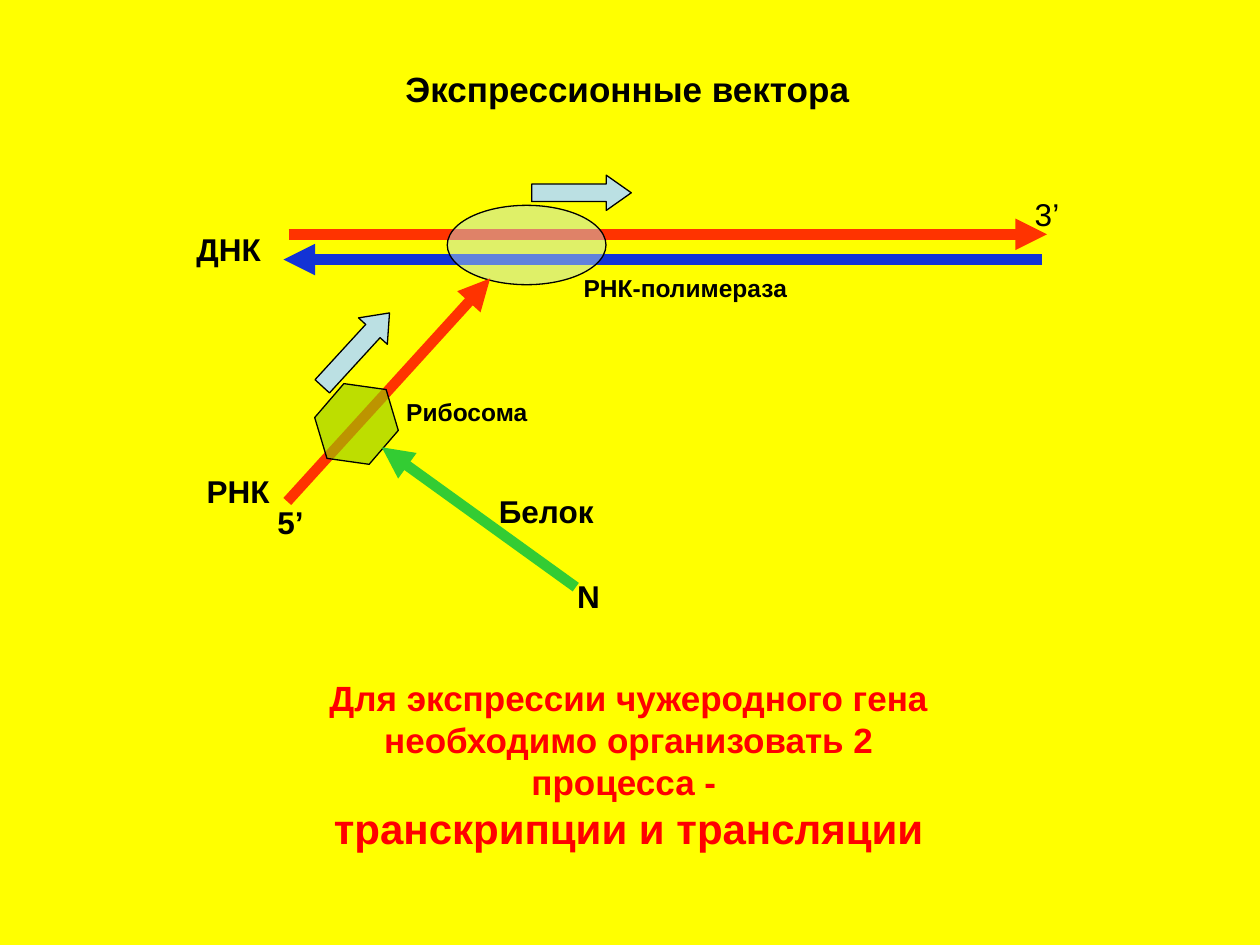
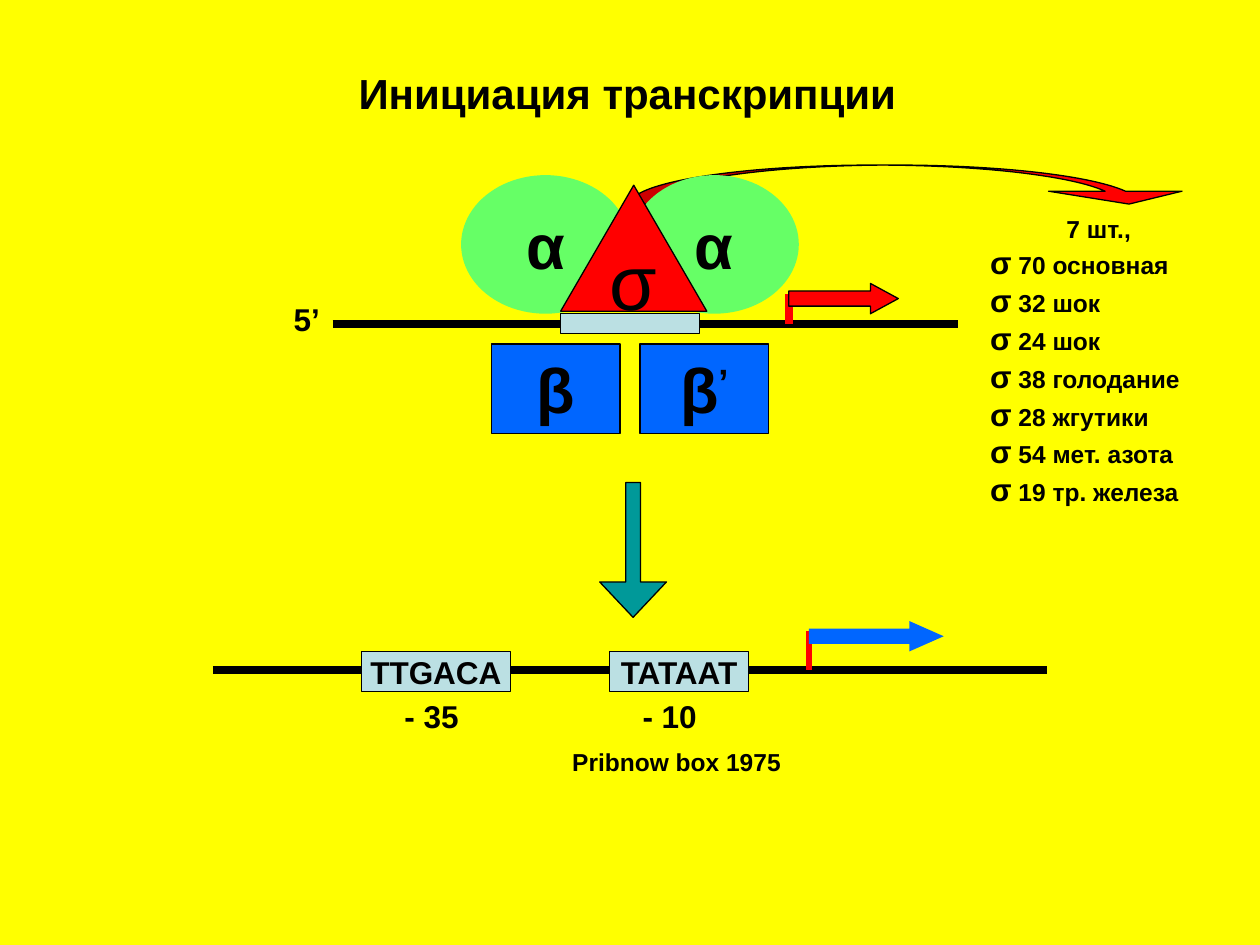
from lxml import etree
from pptx import Presentation, util as u
from pptx.dml.color import RGBColor
from pptx.enum import shapes, text
from pptx.oxml.ns import qn

THEME = {
    "font": "Arial",
    "background": "FFFF00",
    "black": "000000", "red": "FF0000", "rna": "FF3300", "dna": "1333D5",
    "protein": "33CC33", "pale": "BBE0E3", "ribosome": "99CC00",
    "alpha": "66FF66", "blue": "0066FF", "teal": "009999",
    "small": 14, "label": 18, "title": 20, "large": 24, "greek": 36, "sigma": 44,
    "outline": 0.75, "strand": 6, "axis": 4.5, "tick": 3,
}
SHAPE = shapes.MSO_SHAPE
TITLE_CENTRE, TITLE_TOP, TITLE_WIDTH = 4.98, 0.49, 5

# ---- Content: parts are listed from back to front ----
# line: start, end, colour, width, arrowhead
# shape: kind, box, fill, options
# label: text, box, size, options
EXPRESSION = {
    "title": ("Экспрессионные вектора", "title"),
    "parts": [
        ("line", (2.29, 1.86), (8.31, 1.86), "rna", "strand", True),
        ("line", (8.27, 2.06), (2.25, 2.06), "dna", "strand", True),
        ("shape", SHAPE.OVAL, (3.55, 1.63, 1.26, 0.63), "pale", {"opacity": 46}),
        ("label", "ДНК", (1.46, 1.78, 0.71, 0.4), "label"),
        ("label", "3’", (8.06, 1.5, 0.5, 0.4), "label", {"bold": False}),
        ("label", "РНК-полимераза", (4.53, 2.12, 1.82, 0.34), "small"),
        ("shape", SHAPE.RIGHT_ARROW, (4.22, 1.39, 0.79, 0.28), "pale",
         {"adjust": (0.5, 0.71)}),
        ("line", (2.28, 3.98), (3.89, 2.21), "rna", "strand", True),
        ("label", "РНК", (1.54, 3.7, 0.7, 0.4), "label"),
        ("label", "5’", (2.1, 3.94, 0.41, 0.4), "label"),
        ("shape", SHAPE.HEXAGON, (2.47, 3.08, 0.72, 0.57), "ribosome",
         {"opacity": 64, "rotation": 310.7, "adjust": (0.32,)}),
        ("label", "Рибосома", (3.12, 3.1, 1.17, 0.34), "small"),
        ("shape", SHAPE.RIGHT_ARROW, (2.43, 2.62, 0.79, 0.31), "pale",
         {"rotation": 312.5, "adjust": (0.5, 0.63)}),
        ("line", (4.57, 4.66), (3.03, 3.55), "protein", "strand", True),
        ("label", "N", (4.48, 4.53, 0.38, 0.4), "label"),
        ("label", "Белок", (3.86, 3.86, 0.95, 0.4), "label"),
    ],
}
CONCLUSION = [
    ("Для экспрессии чужеродного гена необходимо организовать 2 процесса - ", "title"),
    ("транскрипции и трансляции", "large"),
]

INITIATION = {
    "title": ("Инициация транскрипции", "large"),
    "parts": [
        ("shape", SHAPE.CURVED_DOWN_ARROW, (5, 1.31, 4.49, 0.31), "red",
         {"adjust": (0.52, 3.42, 0.33)}),
        # RNA polymerase subunits on the promoter
        ("shape", SHAPE.OVAL, (3.66, 1.39, 1.34, 1.1), "alpha",
         {"text": "α", "size": "greek", "outline": False}),
        ("shape", SHAPE.RECTANGLE, (3.9, 2.73, 1.02, 0.71), "blue",
         {"text": "β", "size": "greek"}),
        ("shape", SHAPE.OVAL, (5, 1.39, 1.34, 1.1), "alpha",
         {"text": "α", "size": "greek", "outline": False}),
        ("shape", SHAPE.ISOSCELES_TRIANGLE, (4.45, 1.47, 1.16, 1), "red",
         {"text": "σ", "size": "sigma", "bold": False}),
        ("shape", SHAPE.RECTANGLE, (5.08, 2.73, 1.02, 0.71), "blue",
         {"text": "β", "size": "greek", "superscript": "’"}),
        ("line", (2.64, 2.57), (7.6, 2.57), "black", "axis", False),
        ("shape", SHAPE.RECTANGLE, (4.45, 2.49, 1.1, 0.16), "pale", {}),
        ("line", (6.26, 2.33), (6.26, 2.57), "red", "axis", False),
        ("shape", SHAPE.RIGHT_ARROW, (6.26, 2.25, 0.87, 0.24), "red",
         {"adjust": (0.5, 0.92)}),
        ("label", "5’", (2.23, 2.33, 0.41, 0.4), "label"),
        # Promoter sequence
        ("line", (1.69, 5.32), (8.31, 5.32), "black", "axis", False),
        ("line", (6.42, 5.01), (6.42, 5.32), "red", "tick", False),
        ("shape", SHAPE.RIGHT_ARROW, (6.42, 4.93, 1.07, 0.24), "blue",
         {"adjust": (0.5, 1.13), "outline": False}),
        ("shape", SHAPE.RECTANGLE, (4.84, 5.17, 1.1, 0.32), "pale", {"text": "TATAAT"}),
        ("shape", SHAPE.RECTANGLE, (2.87, 5.17, 1.18, 0.32), "pale", {"text": "TTGACA"}),
        ("shape", SHAPE.DOWN_ARROW, (4.76, 3.83, 0.53, 1.07), "teal",
         {"adjust": (0.22, 0.53)}),
        ("label", "- 35", (3.11, 5.48, 0.63, 0.4), "label"),
        ("label", "- 10", (5, 5.48, 0.63, 0.4), "label"),
        ("label", "Pribnow box 1975", (4.44, 5.88, 1.86, 0.34), "small"),
    ],
}
SIGMA_COUNT = "7 шт.,"
SIGMA_FACTORS = ["70 основная", "32 шок", "24 шок", "38 голодание",
                 "28 жгутики", "54 мет. азота", "19 тр. железа"]


# ---- Helpers ----
def colour(name):
    return RGBColor.from_string(THEME[name])


def inches(values):
    return [u.Inches(value) for value in values]


def set_all(target, values):
    for name, value in values.items():
        setattr(target, name, value)


def add_run(paragraph, words, size, bold=True, ink="black"):
    run = paragraph.add_run()
    run.text = words
    set_all(run.font, {"name": THEME["font"], "size": u.Pt(THEME[size]), "bold": bold})
    run.font.color.rgb = colour(ink)
    return run


def add_text_frame(slide, box, wrap=False):
    frame = slide.shapes.add_textbox(*inches(box)).text_frame
    set_all(frame, {"word_wrap": wrap, "auto_size": text.MSO_AUTO_SIZE.SHAPE_TO_FIT_TEXT})
    frame.paragraphs[0].alignment = text.PP_ALIGN.CENTER
    return frame


def add_label(slide, words, box, size, options=None):
    add_run(add_text_frame(slide, box).paragraphs[0], words, size, **(options or {}))


def add_line(slide, start, end, ink, width, arrow):
    connector = slide.shapes.add_connector(
        shapes.MSO_CONNECTOR.STRAIGHT, *inches(start + end))
    connector.line.color.rgb = colour(ink)
    connector.line.width = u.Pt(THEME[width])
    if arrow:
        etree.SubElement(connector.line._get_or_add_ln(), qn("a:tailEnd"), type="triangle")
    etree.SubElement(connector._element.spPr, qn("a:effectLst"))


def add_figure(slide, kind, box, fill, options):
    shape = slide.shapes.add_shape(kind, *inches(box))
    shape.shadow.inherit = False
    shape.rotation = options.get("rotation", 0)
    for index, value in enumerate(options.get("adjust", ())):
        shape.adjustments[index] = value
    shape.fill.solid()
    shape.fill.fore_color.rgb = colour(fill)
    if "opacity" in options:
        solid = shape._element.spPr.find(qn("a:solidFill"))
        etree.SubElement(solid[0], qn("a:alpha"), val=str(options["opacity"] * 1000))
    if options.get("outline", True):
        shape.line.color.rgb = colour("black")
        shape.line.width = u.Pt(THEME["outline"])
    else:
        shape.line.fill.background()
    if "text" in options:
        size = options.get("size", "label")
        frame = shape.text_frame
        set_all(frame, {"word_wrap": False, "vertical_anchor": text.MSO_ANCHOR.MIDDLE})
        paragraph = frame.paragraphs[0]
        paragraph.alignment = text.PP_ALIGN.CENTER
        add_run(paragraph, options["text"], size, options.get("bold", True))
        if "superscript" in options:
            run = add_run(paragraph, options["superscript"], size)
            run._r.get_or_add_rPr().set("baseline", "30000")


def add_slide(presentation, content):
    slide = presentation.slides.add_slide(presentation.slide_layouts[6])
    slide.background.fill.solid()
    slide.background.fill.fore_color.rgb = colour("background")
    words, size = content["title"]
    left = TITLE_CENTRE - TITLE_WIDTH / 2
    add_label(slide, words, (left, TITLE_TOP, TITLE_WIDTH, 0.45), size)
    builders = {"line": add_line, "shape": add_figure, "label": add_label}
    for kind, *values in content["parts"]:
        builders[kind](slide, *values)
    return slide


def add_conclusion(slide):
    frame = add_text_frame(slide, (2.3, 5.32, 5.38, 1.5), wrap=True)
    for index, (words, size) in enumerate(CONCLUSION):
        paragraph = frame.add_paragraph() if index else frame.paragraphs[0]
        paragraph.alignment = text.PP_ALIGN.CENTER
        add_run(paragraph, words, size, ink="red")


def add_sigma_list(slide):
    frame = add_text_frame(slide, (7.71, 1.65, 2.02, 2.9), wrap=True)
    add_run(frame.paragraphs[0], SIGMA_COUNT, "small")
    for factor in SIGMA_FACTORS:
        paragraph = frame.add_paragraph()
        paragraph.line_spacing = u.Pt(21.6)
        paragraph._p.get_or_add_pPr().set("marL", str(u.Inches(0.05)))
        add_run(paragraph, "σ", "label")
        add_run(paragraph, f" {factor}", "small")


def main():
    presentation = Presentation()
    set_all(presentation, {"slide_width": u.Inches(10), "slide_height": u.Inches(7.5)})
    add_conclusion(add_slide(presentation, EXPRESSION))
    add_sigma_list(add_slide(presentation, INITIATION))
    presentation.save("out.pptx")


if __name__ == "__main__":
    main()
